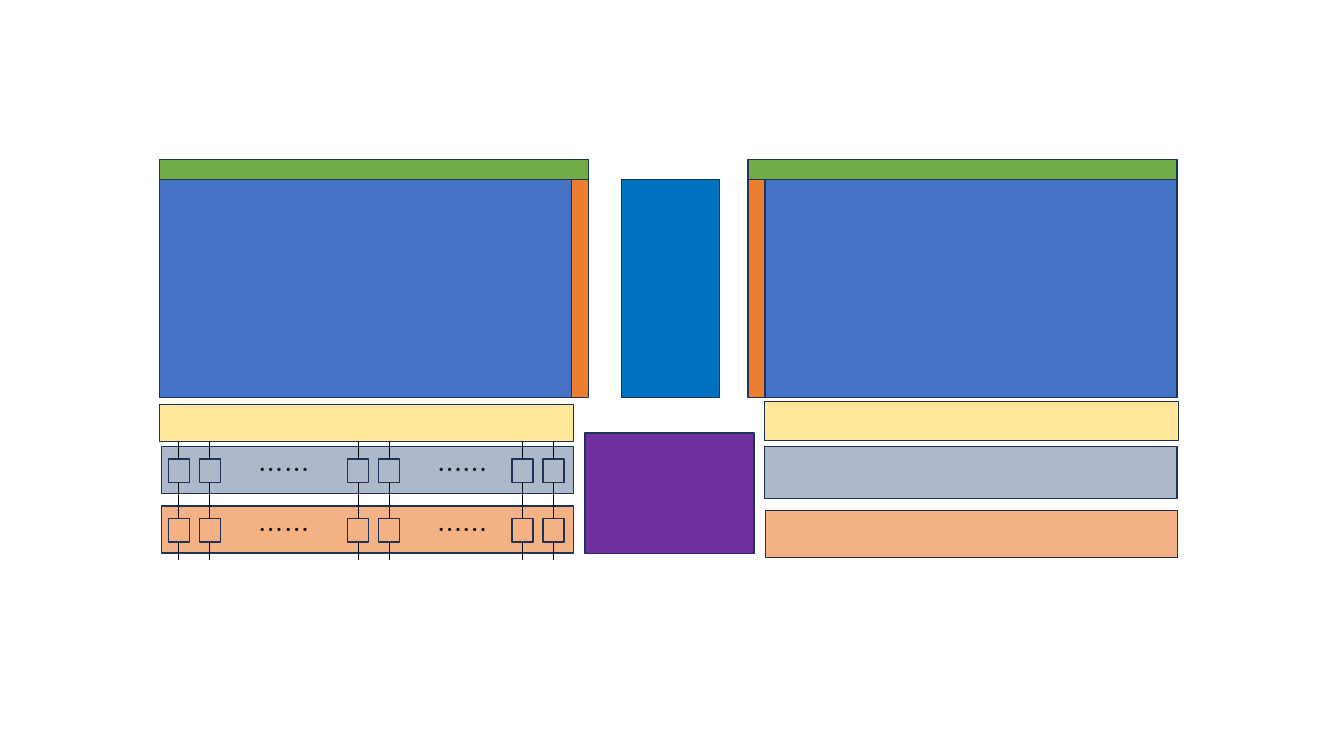
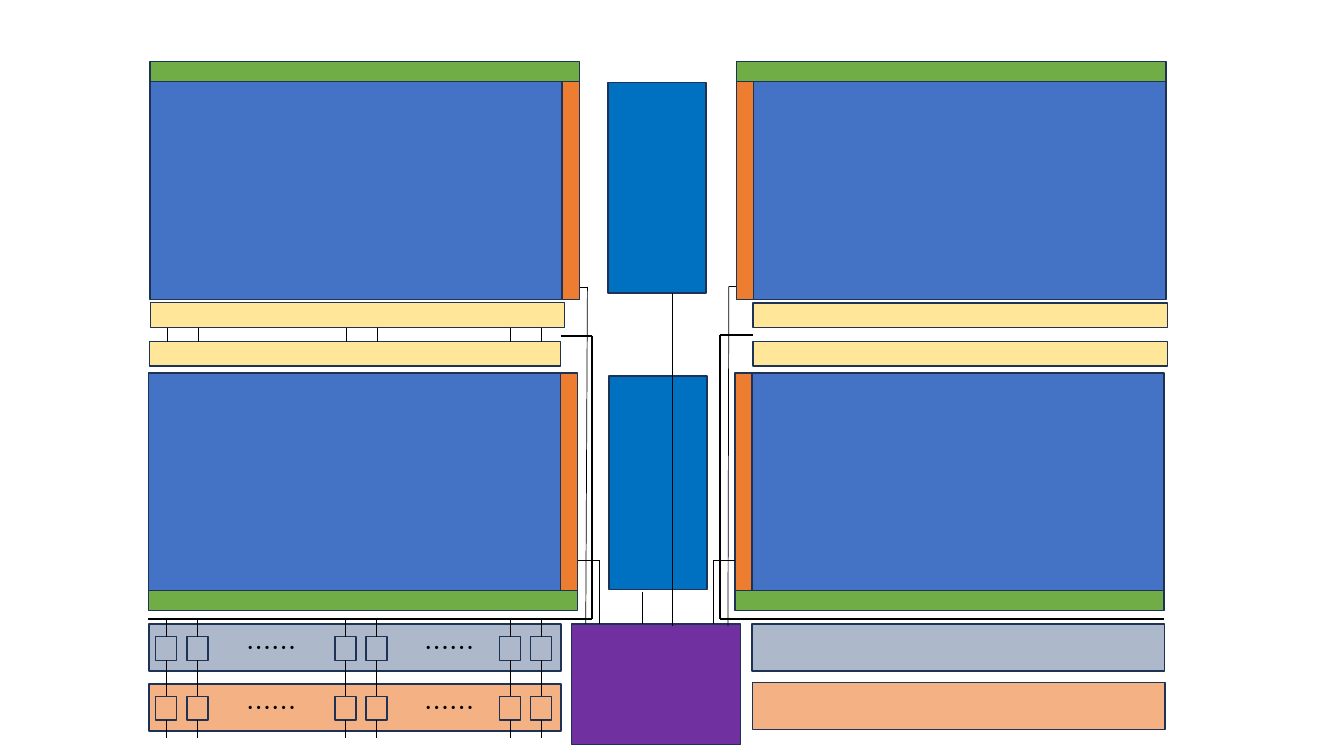
import pptx
import pptx.dml.color
import pptx.enum.shapes
import pptx.enum.text
import pptx.oxml.ns
import pptx.util
from pptx.util import Pt
from lxml import etree

COLORS = {
    "bank": "4472C4", "strip": "ED7D31", "lid": "70AD47", "column": "0070C0",
    "control": "7030A0", "latch": "FFE699", "upper": "ADB9CA", "lower": "F4B183",
    "outline": "1E3256", "wire": "000000",
}
FONT = "Noto Sans CJK SC"

# Sizes shared by both slides
BANK_W, BANK_H, STRIP_W, LID_H = 294.4, 155.4, 12.2, 14.4
ROW_W, ROW_H, ROW_PITCH = 294.5, 33.6, 42.7
CELL_W, CELL_H, CELL_TOP, STUB = 15, 16.8, 9, 13
CELL_X = [x + dx for x in (5, 133, 250.5) for dx in (0, 22.2)]
DOTS_X = (62.7, 189.9)

# Banks: x, y, strip side, lid side. Boxes: colour, x, y, w, h.
# Links: top and bottom of the lines between latches. Wires: weight, points.
SLIDES = [
    {
        "banks": [(113.8, 128.4, "right", "top"), (534.2, 128.4, "left", "top")],
        "boxes": [
            ("column", 443.8, 128.4, 70, 155.4),
            ("control", 418, 309.4, 120.6, 85.8),
            ("latch", 113.8, 288.8, 296, 26.6),
            ("latch", 546, 286.8, 296, 27.8),
            ("upper", 546.2, 318.8, ROW_W, 37.4),
            ("lower", 546.8, 364.6, ROW_W, ROW_H),
        ],
        "rows": (115.2, 318.8),
        "links": None,
        "wires": [],
    },
    {
        "banks": [
            (107.2, 58.4, "right", "top"), (526.2, 58.4, "left", "top"),
            (106, 266.4, "right", "bottom"), (525, 266.4, "left", "bottom"),
        ],
        "boxes": [
            ("column", 434.2, 59, 70, 150.4),
            ("column", 435, 268.6, 70, 152.6),
            ("control", 408.4, 445.8, 120.6, 85.8),
            ("latch", 107.4, 216, 296, 18),
            ("latch", 106.6, 244, 293.6, 17.4),
            ("latch", 537.8, 216.6, 296, 17.4),
            ("latch", 537.8, 244, 296, 17.4),
            ("upper", 537.2, 445.8, ROW_W, ROW_H),
            ("lower", 537.6, 487.6, ROW_W, ROW_H),
        ],
        "rows": (106.3, 445.8),
        "links": (234, 244),
        "wires": [
            (1.5, [(400.4, 239.8), (422.8, 239.8), (422.8, 442), (106, 442)]),
            (1.5, [(538, 239), (514.6, 239), (514.6, 442.2), (831.6, 442.2)]),
            (0.5, [(412.6, 400.2), (427.8, 400.2), (427.8, 445.8)]),
            (0.5, [(525, 400.2), (509.8, 400.2), (509.8, 445.8)]),
            (0.5, [(414, 205), (419.6, 205), (418.4, 445.8)]),
            (0.5, [(525.8, 204.6), (520.6, 204.6), (520, 447)]),
            (0.5, [(458.8, 422.6), (458.8, 445.8)]),
            (0.5, [(480.2, 209.4), (480.2, 447)]),
        ],
    },
]


def add_box(s, color, x, y, w, h):
    sp = s.shapes.add_shape(pptx.enum.shapes.MSO_SHAPE.RECTANGLE, Pt(x), Pt(y), Pt(w), Pt(h))
    sp.shadow.inherit = False
    sp.fill.solid()
    sp.fill.fore_color.rgb = pptx.dml.color.RGBColor.from_string(COLORS[color])
    sp.line.color.rgb = pptx.dml.color.RGBColor.from_string(COLORS["outline"])
    sp.line.width = Pt(1)
    return sp


def add_wire(s, start, end, weight=0.5):
    cx = s.shapes.add_connector(
        pptx.enum.shapes.MSO_CONNECTOR.STRAIGHT, *[Pt(v) for v in (*start, *end)])
    cx.line.color.rgb = pptx.dml.color.RGBColor.from_string(COLORS["wire"])
    cx.line.width = Pt(weight)
    etree.SubElement(cx._element.spPr, pptx.oxml.ns.qn("a:effectLst"))
    return cx


prs = pptx.Presentation()
prs.slide_width, prs.slide_height = Pt(960), Pt(540)

for layout in SLIDES:
    s = prs.slides.add_slide(prs.slide_layouts[6])

    # Banks with their side strip and lid
    for x, y, strip, lid in layout["banks"]:
        bank_x = x if strip == "right" else x + STRIP_W
        strip_x = x + BANK_W if strip == "right" else x
        lid_y = y - LID_H if lid == "top" else y + BANK_H
        add_box(s, "bank", bank_x, y, BANK_W, BANK_H)
        add_box(s, "strip", strip_x, y, STRIP_W, BANK_H)
        add_box(s, "lid", x, lid_y, BANK_W + STRIP_W, LID_H)

    # Columns, control block, latches and right-hand rows
    for box in layout["boxes"]:
        add_box(s, *box)

    # Left-hand rows of cells
    left, top = layout["rows"]
    for i, color in enumerate(("upper", "lower")):
        y = top + i * ROW_PITCH
        add_box(s, color, left, y, ROW_W, ROW_H)
        for dx in CELL_X:
            cell = add_box(s, color, left + dx, y + CELL_TOP, CELL_W, CELL_H)
            mid = left + dx + CELL_W / 2
            cell_top, cell_end = y + CELL_TOP, y + CELL_TOP + CELL_H
            add_wire(s, (mid, cell_top - STUB), (mid, cell_top)).end_connect(cell, 0)
            add_wire(s, (mid, cell_end), (mid, cell_end + STUB)).begin_connect(cell, 2)
        for dx in DOTS_X:
            tb = s.shapes.add_textbox(Pt(left + dx), Pt(y + 2.2), Pt(55.4), Pt(28.8))
            tb.fill.solid()
            tb.fill.fore_color.rgb = pptx.dml.color.RGBColor.from_string(COLORS[color])
            tf = tb.text_frame
            tf.word_wrap = True
            tf.auto_size = pptx.enum.text.MSO_AUTO_SIZE.SHAPE_TO_FIT_TEXT
            tf.text = "……"
            r = tf.paragraphs[0].runs[0]
            r.font.size = Pt(18)
            r.font.name = FONT
            r.font.color.rgb = pptx.dml.color.RGBColor.from_string(COLORS["wire"])
            ea = etree.SubElement(r.font._element, pptx.oxml.ns.qn("a:ea"))
            ea.set("typeface", FONT)

    # Links between the two latches, in line with the cells
    if layout["links"]:
        link_top, link_end = layout["links"]
        for dx in CELL_X:
            mid = left + dx + CELL_W / 2 + 0.5
            add_wire(s, (mid, link_top), (mid, link_end))

    # Buses and control wires
    for weight, points in layout["wires"]:
        for start, end in zip(points, points[1:]):
            add_wire(s, start, end, weight)

prs.save("out.pptx")
